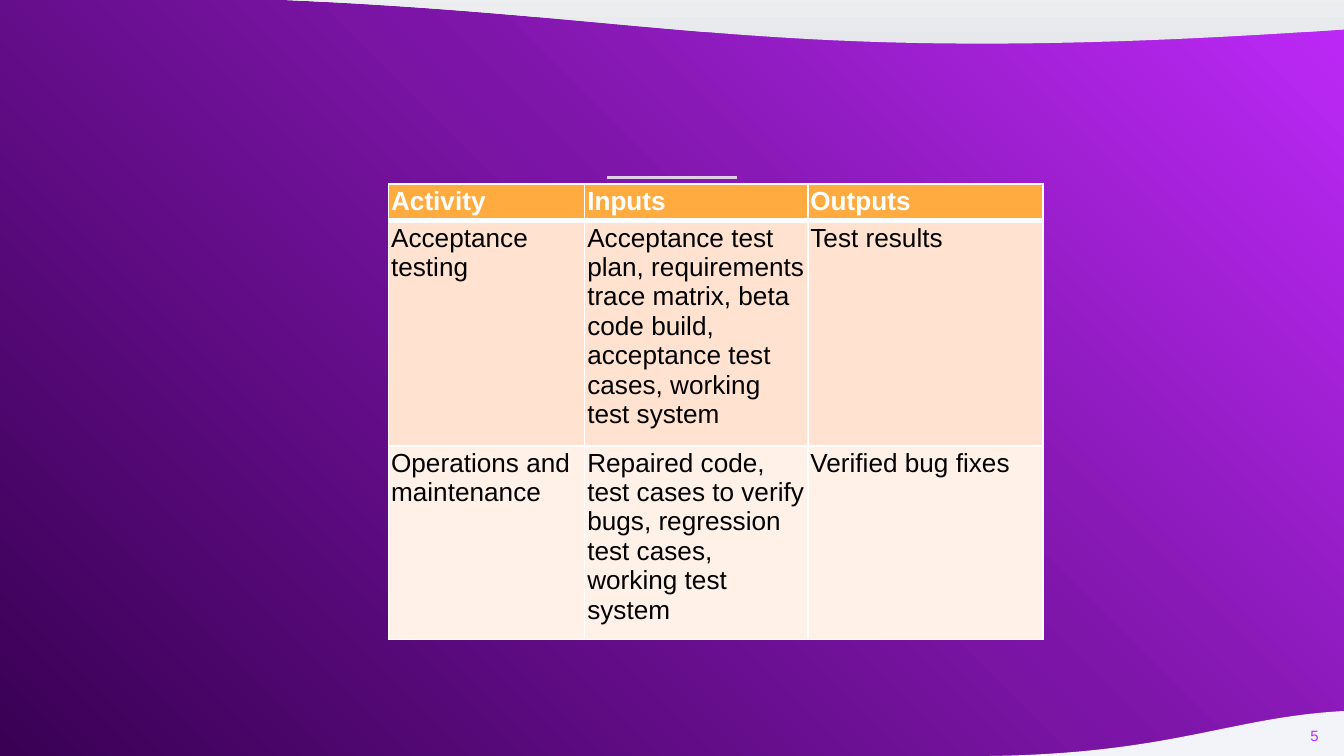
from pptx import Presentation
from pptx import util as u
from pptx.dml.color import RGBColor
from pptx.enum import shapes, text
from pptx.oxml import parse_xml
from pptx.oxml.ns import nsdecls, qn


def rgb(value):
    return RGBColor.from_string(value)


class ActivitySlide:
    FONT = "Arial"
    WHITE = "FFFFFF"
    PURPLE = "BE29F9"

    def __init__(self, deck):
        self.slide = deck.slides.add_slide(deck.slide_layouts[6])

    def gradient(self, fill, owner, stops, angle):
        """Fill with any number of (percent, colour) stops, angle clockwise."""
        fill.gradient()
        grad = next(owner.iter(qn("a:gradFill")))
        stop_xml = "".join(
            f'<a:gs pos="{pos * 1000}"><a:srgbClr val="{colour}"/></a:gs>'
            for pos, colour in stops)
        grad.getparent().replace(grad, parse_xml(
            f'<a:gradFill {nsdecls("a")} rotWithShape="1"><a:gsLst>{stop_xml}</a:gsLst>'
            f'<a:lin ang="{angle * 60000}" scaled="0"/></a:gradFill>'))

    def background(self, stops, angle):
        self.gradient(self.slide.background.fill, self.slide.element, stops, angle)

    def wave(self, box, stops, rotation=0, flip=False):
        wave = self.slide.shapes.add_shape(
            shapes.MSO_SHAPE.FLOWCHART_DOCUMENT, *map(u.Inches, box))
        wave.shadow.inherit = False
        wave.line.fill.background()
        wave.rotation = rotation
        if flip:
            wave.element.spPr.find(qn("a:xfrm")).set("flipH", "1")
        self.gradient(wave.fill, wave.element, stops, 270)

    def rule(self, left, right, y, colour, width):
        rule = self.slide.shapes.add_connector(
            shapes.MSO_CONNECTOR.STRAIGHT, *map(u.Inches, (left, y, right, y)))
        rule.line.color.rgb = rgb(colour)
        rule.line.width = u.Pt(width)
        rule.element.spPr.append(parse_xml(f'<a:effectLst {nsdecls("a")}/>'))

    def style(self, paragraph, size, colour, bold=False):
        font = paragraph.font
        font.name, font.size, font.bold = self.FONT, u.Pt(size), bold
        font.color.rgb = rgb(colour)

    def page_number(self, box, number):
        frame = self.slide.shapes.add_textbox(*map(u.Inches, box)).text_frame
        frame.word_wrap = True
        frame.vertical_anchor = text.MSO_ANCHOR.MIDDLE
        frame.margin_left = frame.margin_right = u.Inches(0.1)
        frame.margin_top = frame.margin_bottom = u.Inches(0.1)
        paragraph = frame.paragraphs[0]
        paragraph.text = number
        paragraph.alignment = text.PP_ALIGN.RIGHT
        self.style(paragraph, 8, self.PURPLE)

    def borders(self, cell, widths):
        properties = cell._tc.get_or_add_tcPr()
        for side, width in zip("LRTB", widths):
            properties.append(parse_xml(
                f'<a:ln{side} {nsdecls("a")} w="{u.Pt(width)}"><a:solidFill>'
                f'<a:srgbClr val="{self.WHITE}"/></a:solidFill></a:ln{side}>'))

    def table(self, box, columns, heights, rows, fills):
        frame = self.slide.shapes.add_table(
            len(rows), len(columns), *map(u.Inches, box))
        table = frame.table
        for column, width in zip(table.columns, columns):
            column.width = u.Inches(width)
        for r, (entries, height, fill) in enumerate(zip(rows, heights, fills)):
            table.rows[r].height = u.Inches(height)
            header = r == 0
            for c, entry in enumerate(entries):
                cell = table.cell(r, c)
                cell.text = entry
                cell.margin_left = cell.margin_right = u.Inches(0.02)
                cell.margin_top = cell.margin_bottom = u.Inches(0.02)
                # The line under the header is heavier, seen from both rows
                self.borders(cell, (1, 1, 3 if r == 1 else 1, 3 if header else 1))
                cell.fill.solid()
                cell.fill.fore_color.rgb = rgb(fill)
                self.style(cell.text_frame.paragraphs[0], 14,
                           self.WHITE if header else "000000", header)
        # Changing rows and columns resizes the frame
        frame.width, frame.height = map(u.Inches, box[2:])


deck = Presentation()
deck.slide_width = u.Inches(10)
deck.slide_height = deck.slide_width * 9 // 16
page = ActivitySlide(deck)

# Backdrop with the two pale waves
page.background([(0, page.PURPLE), (45, "7C15A7"), (100, "390054")], 135)
page.wave((-0.02, -1.64, 10.03, 1.99),
          [(0, "E6E8EB"), (34, "F3F4F5"), (100, "FFFFFF")], flip=True)
page.wave((7.2, 5.26, 4.18, 1.85),
          [(0, "F3F3FA"), (89, "F9F9FD"), (100, "FFFFFF")], rotation=180)
page.rule(4.52, 5.48, 1.32, "DFCFE7", 1.5)

# Page number
page.page_number((9.31, 5.26, 0.6, 0.43), "5")

# Test activities with their inputs and outputs; body rows grow with their text
activities = [
    ("Activity", "Inputs", "Outputs"),
    ("Acceptance testing",
     "Acceptance test plan, requirements trace matrix, beta code build, "
     "acceptance test cases, working test system",
     "Test results"),
    ("Operations and maintenance",
     "Repaired code, test cases to verify bugs, regression test cases, "
     "working test system",
     "Verified bug fixes"),
]
page.table((2.89, 1.37, 4.86, 3.39), (1.46, 1.66, 1.75), (0.27, 0, 0),
           activities, ("FFAB40", "FFE2CF", "FFF1E8"))

deck.save("out.pptx")
